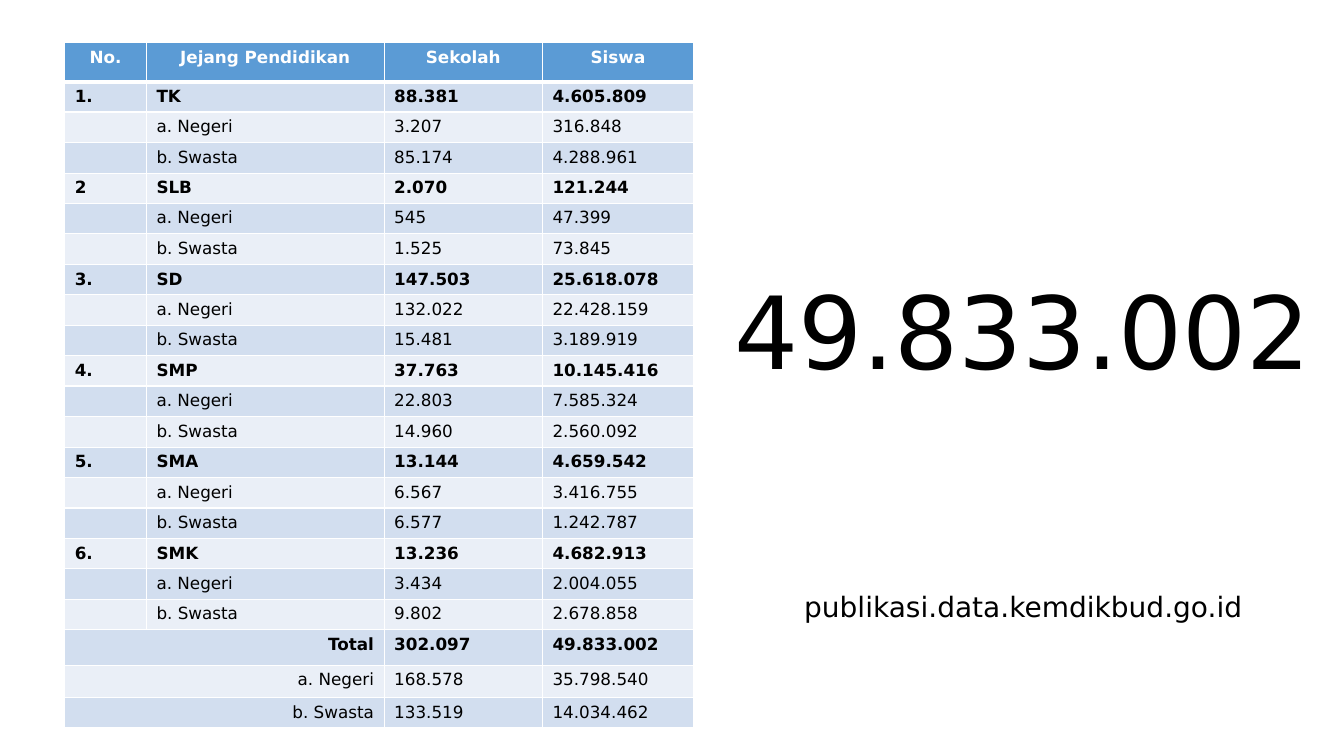
from lxml import etree
from pptx import Presentation
from pptx.dml.color import RGBColor
from pptx.enum.text import MSO_ANCHOR, MSO_AUTO_SIZE, PP_ALIGN
from pptx.oxml.ns import qn
from pptx.util import Cm, Pt

CENTER, LEFT, RIGHT = PP_ALIGN.CENTER, PP_ALIGN.LEFT, PP_ALIGN.RIGHT
TOP = MSO_ANCHOR.TOP
NO_AUTOFIT = MSO_AUTO_SIZE.NONE

FONT = "DejaVu Sans"
BLACK, WHITE, HEADER_BLUE = "000000", "FFFFFF", "5B9BD5"
BANDS = ("EAEFF7", "D2DEEF")
TABLE_SIZE = 12

HEADINGS = ("No.", "Jejang Pendidikan", "Sekolah", "Siswa")
SUBLEVELS = ("a. Negeri", "b. Swasta")
LEVELS = [
    ("1.", "TK", [("88.381", "4.605.809"), ("3.207", "316.848"), ("85.174", "4.288.961")]),
    ("2", "SLB", [("2.070", "121.244"), ("545", "47.399"), ("1.525", "73.845")]),
    ("3.", "SD", [("147.503", "25.618.078"), ("132.022", "22.428.159"), ("15.481", "3.189.919")]),
    ("4.", "SMP", [("37.763", "10.145.416"), ("22.803", "7.585.324"), ("14.960", "2.560.092")]),
    ("5.", "SMA", [("13.144", "4.659.542"), ("6.567", "3.416.755"), ("6.577", "1.242.787")]),
    ("6.", "SMK", [("13.236", "4.682.913"), ("3.434", "2.004.055"), ("9.802", "2.678.858")]),
]
TOTALS = [("302.097", "49.833.002"), ("168.578", "35.798.540"), ("133.519", "14.034.462")]

COLUMN_WIDTHS = (2.06, 5.99, 3.99, 3.81)
ROW_HEIGHTS = (0.99, *[0.76] * (3 * len(LEVELS)), 0.89, 0.81, 0.76)


def rgb(color):
    return RGBColor.from_string(color)


def set_attributes(target, values):
    for name, value in values.items():
        setattr(target, name, value)


def write_text(paragraph, text, size, color=BLACK, bold=False, **paragraph_format):
    set_attributes(paragraph, paragraph_format)
    run = paragraph.add_run()
    run.text = text
    set_attributes(run.font, {"name": FONT, "size": Pt(size), "bold": bold})
    run.font.color.rgb = rgb(color)


def add_borders(cell, bottom_width):
    properties = cell._tc.get_or_add_tcPr()
    for side, width in (("L", 1), ("R", 1), ("T", 1), ("B", bottom_width)):
        line = etree.SubElement(properties, qn(f"a:ln{side}"), w=str(Pt(width)))
        fill = etree.SubElement(line, qn("a:solidFill"))
        etree.SubElement(fill, qn("a:srgbClr"), val=WHITE)


def format_cell(cell, text, fill, color, bold, alignment, bottom_width):
    add_borders(cell, bottom_width)
    cell.fill.solid()
    cell.fill.fore_color.rgb = rgb(fill)
    cell.vertical_anchor = TOP
    paragraph = cell.text_frame.paragraphs[0]
    if text:
        write_text(paragraph, text, TABLE_SIZE, color, bold, alignment=alignment)
    else:
        etree.SubElement(paragraph._p, qn("a:endParaRPr"), sz=str(TABLE_SIZE * 100))


def table_rows():
    rows = [HEADINGS]
    for number, level, counts in LEVELS:
        labels = [(number, level), *(("", name) for name in SUBLEVELS)]
        rows += [label + count for label, count in zip(labels, counts)]
    rows += [(name, "", *count) for name, count in zip(("Total", *SUBLEVELS), TOTALS)]
    return rows


def add_school_table(slide, left, top):
    rows = table_rows()
    first_total = len(rows) - len(TOTALS)
    table = slide.shapes.add_table(
        len(rows), len(HEADINGS), Cm(left), Cm(top),
        Cm(sum(COLUMN_WIDTHS)), Cm(sum(ROW_HEIGHTS)),
    ).table
    for column, width in zip(table.columns, COLUMN_WIDTHS):
        column.width = Cm(width)
    for row, height in zip(table.rows, ROW_HEIGHTS):
        row.height = Cm(height)
    for row_index, texts in enumerate(rows):
        is_header = row_index == 0
        is_total = row_index >= first_total
        if is_total:
            table.cell(row_index, 0).merge(table.cell(row_index, 1))
        for column_index, text in enumerate(texts):
            alignment = CENTER if is_header else LEFT
            if is_total and column_index == 0:
                alignment = RIGHT
            format_cell(
                table.cell(row_index, column_index),
                text,
                fill=HEADER_BLUE if is_header else BANDS[row_index % 2],
                color=WHITE if is_header else BLACK,
                bold=is_header or row_index % 3 == 1,
                alignment=alignment,
                bottom_width=3 if is_header else 1,
            )


def fill_text_box(shape, left, top, width, height, text, size):
    set_attributes(shape, {
        "left": Cm(left), "top": Cm(top), "width": Cm(width), "height": Cm(height),
    })
    frame = shape.text_frame
    set_attributes(frame, {
        "word_wrap": True, "auto_size": NO_AUTOFIT, "vertical_anchor": TOP,
    })
    write_text(
        frame.paragraphs[0], text, size,
        alignment=CENTER, line_spacing=0.9, space_before=Pt(10),
    )


def add_student_total(slide, left, top, width):
    title = slide.shapes.title
    title._element.getparent().remove(title._element)
    fill_text_box(slide.placeholders[1], left, top, width, 2.49, "49.833.002", 72)


def add_data_address(slide, left, top, width):
    box = slide.shapes.add_textbox(0, 0, 0, 0)
    fill_text_box(box, left, top, width, 1.14, "publikasi.data.kemdikbud.go.id", 20)


def main():
    presentation = Presentation()
    presentation.slide_width = Cm(33.87)
    presentation.slide_height = Cm(19.05)
    slide = presentation.slides.add_slide(presentation.slide_layouts[2])
    add_student_total(slide, 18.08, 6.99, 15.39)
    add_data_address(slide, 19.96, 14.83, 11.66)
    add_school_table(slide, 1.63, 1.07)
    presentation.save("out.pptx")


if __name__ == "__main__":
    main()
